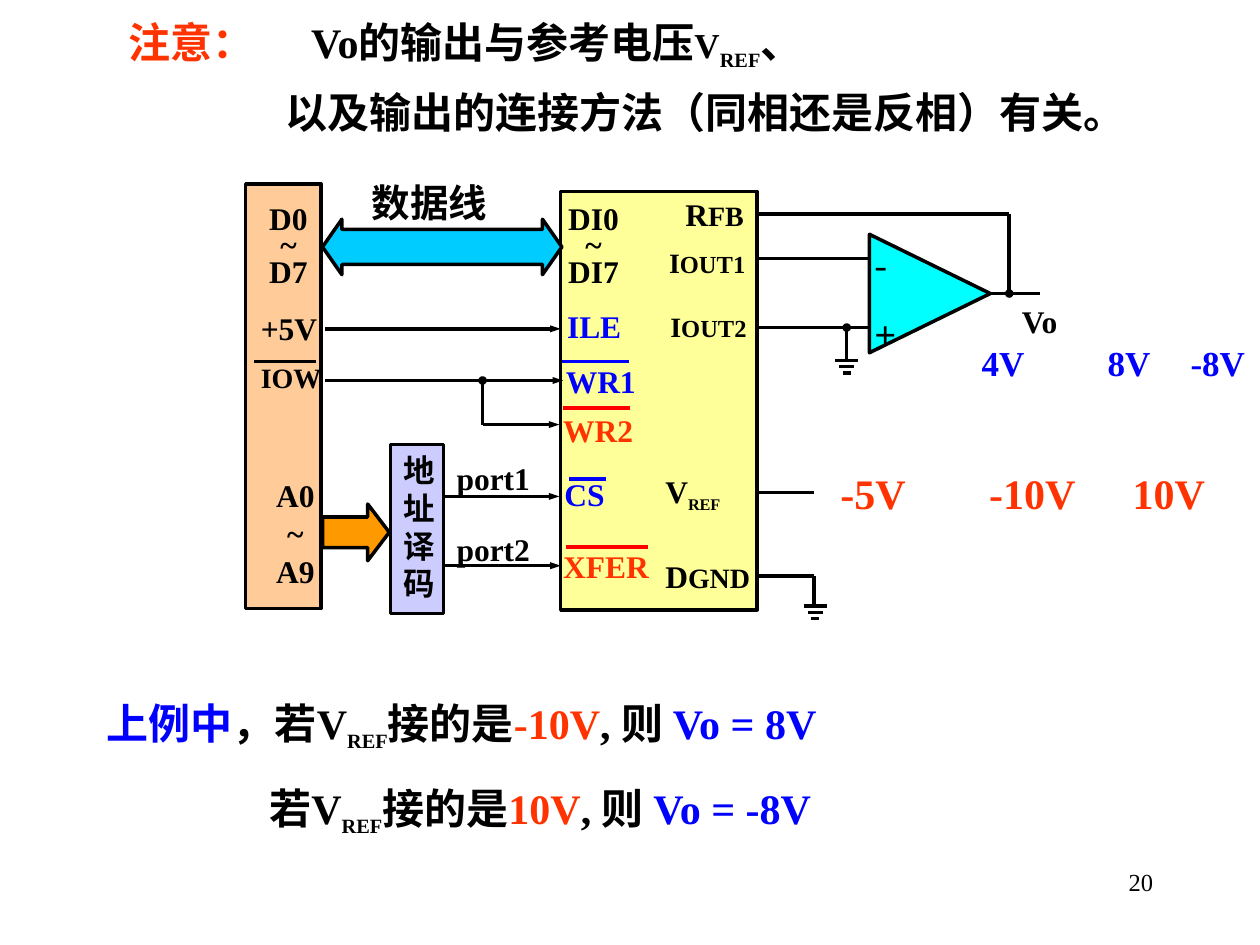
from lxml import etree
from pptx import Presentation
from pptx import util as u
from pptx.dml.color import RGBColor
from pptx.enum import shapes, text
from pptx.oxml.ns import qn

COLOURS = {
    "black": "000000", "blue": "0000FF", "orange": "FF3300", "red": "FF0000",
    "chip": "FFFF99", "bus": "FFCC99", "decoder": "CCCCFF",
    "data": "00CCFF", "address": "FF9900", "amplifier": "00FFFF",
}
LATIN, HAN = "Times New Roman", "Noto Sans CJK SC"
ALIGN = {"left": text.PP_ALIGN.LEFT, "center": text.PP_ALIGN.CENTER,
         "right": text.PP_ALIGN.RIGHT}
PADDED = (0.1, 0.05)
SHAPE = shapes.MSO_SHAPE


def cm(inches):
    return u.Cm(inches * 2.54)


def colour(name):
    return RGBColor.from_string(COLOURS[name])


def add_span(para, words, size=18, ink="black", bold=True, sub=False, face=LATIN):
    """Add one formatted run to a paragraph."""
    span = para.add_run()
    span.text = words
    span.font.size = u.Pt(size)
    span.font.bold = bold
    span.font.name = face
    span.font.color.rgb = colour(ink)
    properties = span.font._element
    etree.SubElement(properties, qn("a:ea")).set("typeface", HAN)
    if sub:
        properties.set("baseline", "-25000")


class Diagram:
    """Holds the drawing style and the current slide."""

    def __init__(self, deck, line_width=2):
        self.page = deck.slides.add_slide(deck.slide_layouts[6])
        self.line_width = u.Pt(line_width)

    def shape(self, kind, left, top, width, height, fill, adjust=(), turn=0):
        item = self.page.shapes.add_shape(kind, *map(cm, (left, top, width, height)))
        item.shadow.inherit = False
        item.fill.solid()
        item.fill.fore_color.rgb = colour(fill)
        item.line.color.rgb = colour("black")
        item.line.width = self.line_width
        item.rotation = turn
        for index, value in enumerate(adjust):
            item.adjustments[index] = value
        return item

    def dot(self, x, y):
        self.shape(SHAPE.OVAL, x - 0.02, y - 0.02, 0.04, 0.04, "black")

    def wire(self, *points, ink="black", arrow=False):
        """Join the points with straight lines; an arrow goes on the last."""
        for start, end in zip(points, points[1:]):
            line = self.page.shapes.add_connector(
                shapes.MSO_CONNECTOR.STRAIGHT, *map(cm, start + end))
            line.line.color.rgb = colour(ink)
            line.line.width = self.line_width
            if arrow and end == points[-1]:
                etree.SubElement(line.get_or_add_ln(), qn("a:tailEnd"),
                                 type="triangle", w="sm", len="med")
            etree.SubElement(line._element.spPr, qn("a:effectLst"))

    def ground(self, x, y):
        for step, half in enumerate((0.09, 0.06, 0.03)):
            level = y + 0.05 * step
            self.wire((x - half, level), (x + half, level))

    def fill_text(self, frame, paras, align="left", inset=(0, 0), spacing=None,
                  wrap=True, **style):
        """Each paragraph is a string or a list of (words, format) pairs."""
        frame.word_wrap = wrap
        frame.vertical_anchor = text.MSO_ANCHOR.TOP
        frame.margin_left = frame.margin_right = cm(inset[0])
        frame.margin_top = frame.margin_bottom = cm(inset[1])
        for index, pieces in enumerate(paras):
            para = frame.add_paragraph() if index else frame.paragraphs[0]
            para.alignment = ALIGN[align]
            if spacing:
                para.line_spacing = spacing
            for words, extra in [(pieces, {})] if isinstance(pieces, str) else pieces:
                add_span(para, words, **{**style, **extra})

    def label(self, left, top, width, height, *paras, **style):
        box = self.page.shapes.add_textbox(*map(cm, (left, top, width, height)))
        self.fill_text(box.text_frame, paras, **style)
        return box


def draw_heading(diagram):
    box = diagram.label(
        0.92, 0.08, 8.25, 1.46,
        [("注意：\t", {"ink": "orange"}), ("Vo的输出与参考电压", {}),
         ("V", {"size": 20}), ("REF", {"size": 20, "sub": True}), ("、", {})],
        "以及输出的连接方法（同相还是反相）有关。", size=24, inset=PADDED)
    first, second = box.text_frame.paragraphs
    for para in (first, second):
        para.space_after = u.Pt(9)
    tabs = etree.SubElement(first._p.get_or_add_pPr(), qn("a:tabLst"))
    etree.SubElement(tabs, qn("a:tab"), pos=str(cm(1.45)), algn="l")
    indent = second._p.get_or_add_pPr()
    indent.set("marL", str(cm(1.25)))
    indent.set("indent", "0")


def draw_blocks(diagram):
    diagram.shape(SHAPE.RECTANGLE, 4.45, 1.52, 1.56, 3.32, "chip")
    diagram.shape(SHAPE.RECTANGLE, 1.95, 1.46, 0.6, 3.37, "bus")
    decoder = diagram.shape(SHAPE.RECTANGLE, 3.1, 3.53, 0.42, 1.34, "decoder")
    diagram.fill_text(decoder.text_frame, "地址译码", align="center", inset=PADDED)
    diagram.shape(SHAPE.LEFT_RIGHT_ARROW, 2.56, 1.74, 1.9, 0.44, "data", (0.63, 0.35))
    diagram.shape(SHAPE.RIGHT_ARROW, 2.56, 4, 0.53, 0.45, "address", (0.54, 0.38))
    diagram.shape(SHAPE.ISOSCELES_TRIANGLE, 6.91, 1.85, 0.94, 0.96, "amplifier", turn=90)


def draw_wires(diagram):
    # Control signals into the converter
    for start, end, y in ((2.58, 4.45, 2.61), (2.58, 4.47, 3.02),
                          (3.52, 4.44, 3.94), (3.52, 4.45, 4.49)):
        diagram.wire((start, y), (end, y), arrow=True)
    diagram.wire((3.83, 3.02), (3.83, 3.37), (4.44, 3.37), arrow=True)
    # Amplifier inputs, feedback and output
    diagram.wire((6.02, 2.05), (6.89, 2.05))
    diagram.wire((6.02, 2.6), (6.9, 2.6))
    diagram.wire((6.02, 1.7), (8.01, 1.7), (8.01, 2.33))
    diagram.wire((7.86, 2.33), (8.25, 2.33))
    # Reference voltage and grounds
    diagram.wire((6.01, 3.91), (6.46, 3.91))
    diagram.wire((6.01, 4.57), (6.46, 4.57), (6.46, 4.81))
    diagram.wire((6.72, 2.6), (6.72, 2.86))
    diagram.ground(6.47, 4.81)
    diagram.ground(6.72, 2.86)
    for x, y in ((8.01, 2.33), (6.72, 2.6), (3.83, 3.02)):
        diagram.dot(x, y)
    # Bars over active-low names
    for start, end, y, ink in ((2.02, 2.51, 2.87, "black"), (4.46, 4.99, 2.87, "blue"),
                               (4.47, 5, 3.24, "red"), (4.52, 4.81, 3.8, "blue"),
                               (4.49, 5.14, 4.34, "red")):
        diagram.wire((start, y), (end, y), ink=ink)


def draw_labels(diagram):
    # Bus side
    diagram.label(2.95, 1.42, 1.15, 0.33, "数据线", size=22, face=HAN)
    diagram.label(2.07, 2.45, 0.56, 0.33, "+5V")
    diagram.label(1.92, 2.86, 0.63, 0.31, "IOW", size=16, align="right")
    diagram.label(2.18, 3.78, 0.33, 0.9, "A0", "~", "A9", align="center")
    for left, width, prefix in ((2.11, 0.36, "D"), (4.47, 0.48, "DI")):
        diagram.label(left, 1.62, width, 0.99, prefix + "0", "~", prefix + "7",
                      align="center", inset=(0, 0.04), spacing=0.7)
    for top, name in ((3.59, "port1"), (4.16, "port2")):
        diagram.label(3.51, top, 0.81, 0.4, name, align="center", inset=PADDED)
    # Converter inputs
    for left, top, name, ink in ((4.5, 2.44, "ILE", "blue"), (4.49, 2.87, "WR1", "blue"),
                                 (4.47, 3.26, "WR2", "orange"), (4.48, 3.77, "CS", "blue"),
                                 (4.47, 4.34, "XFER", "orange")):
        diagram.label(left, top, 0.81, 0.33, name, ink=ink)
    # Converter outputs: a large initial and a smaller rest
    for left, top, initial, rest, size, small, sub in (
            (5.44, 1.55, "R", "FB", 18, 16, False),
            (5.31, 1.95, "I", "OUT1", 16, 14, False),
            (5.32, 2.46, "I", "OUT2", 16, 14, False),
            (5.28, 3.75, "V", "REF", 18, 16, True),
            (5.28, 4.42, "D", "GND", 18, 16, False)):
        diagram.label(left, top, 0.81, 0.3,
                      [(initial, {"size": size}), (rest, {"size": small, "sub": sub})])
    # Amplifier
    diagram.label(6.94, 1.92, 0.21, 0.25, "-", size=22, bold=False, face=HAN)
    diagram.label(6.94, 2.46, 0.21, 0.25, "+", size=22)
    diagram.label(8.11, 2.4, 0.35, 0.25, "Vo")
    # Output and reference values
    for left, width, value in ((7.67, 0.58, "4V"), (8.67, 0.58, "8V"), (9.33, 0.67, "-8V")):
        diagram.label(left, 2.66, width, 0.44, value, size=20, ink="blue",
                      align="center", inset=PADDED, wrap=False)
    for left, value in ((6.67, "-5V"), (7.85, "-10V"), (8.99, "10V")):
        diagram.label(left, 3.71, 0.9, 0.44, value, size=24, ink="orange")


def draw_conclusions(diagram):
    for left, top, width, lead, start, reference, result in (
            (0.75, 5.49, 7.08, "上例中", "，若V", "-10V", "Vo = 8V"),
            (2.04, 6.16, 5.4, "", "若V", "10V", "Vo = -8V")):
        pieces = [(lead, {"ink": "blue"})] if lead else []
        pieces += [(start, {}), ("REF", {"size": 20, "sub": True}), ("接的是", {}),
                   (reference, {"ink": "orange"}), (", 则 ", {}), (result, {"ink": "blue"})]
        diagram.label(left, top, width, 0.54, pieces, size=24, inset=PADDED)


def main():
    deck = Presentation()
    deck.slide_width, deck.slide_height = cm(10), cm(7.5)
    diagram = Diagram(deck)
    draw_heading(diagram)
    draw_blocks(diagram)
    draw_wires(diagram)
    draw_labels(diagram)
    draw_conclusions(diagram)
    # Page number
    diagram.label(7.17, 6.83, 2.08, 0.5, "20", size=14, bold=False,
                  align="right", inset=PADDED)
    deck.save("out.pptx")


if __name__ == "__main__":
    main()
